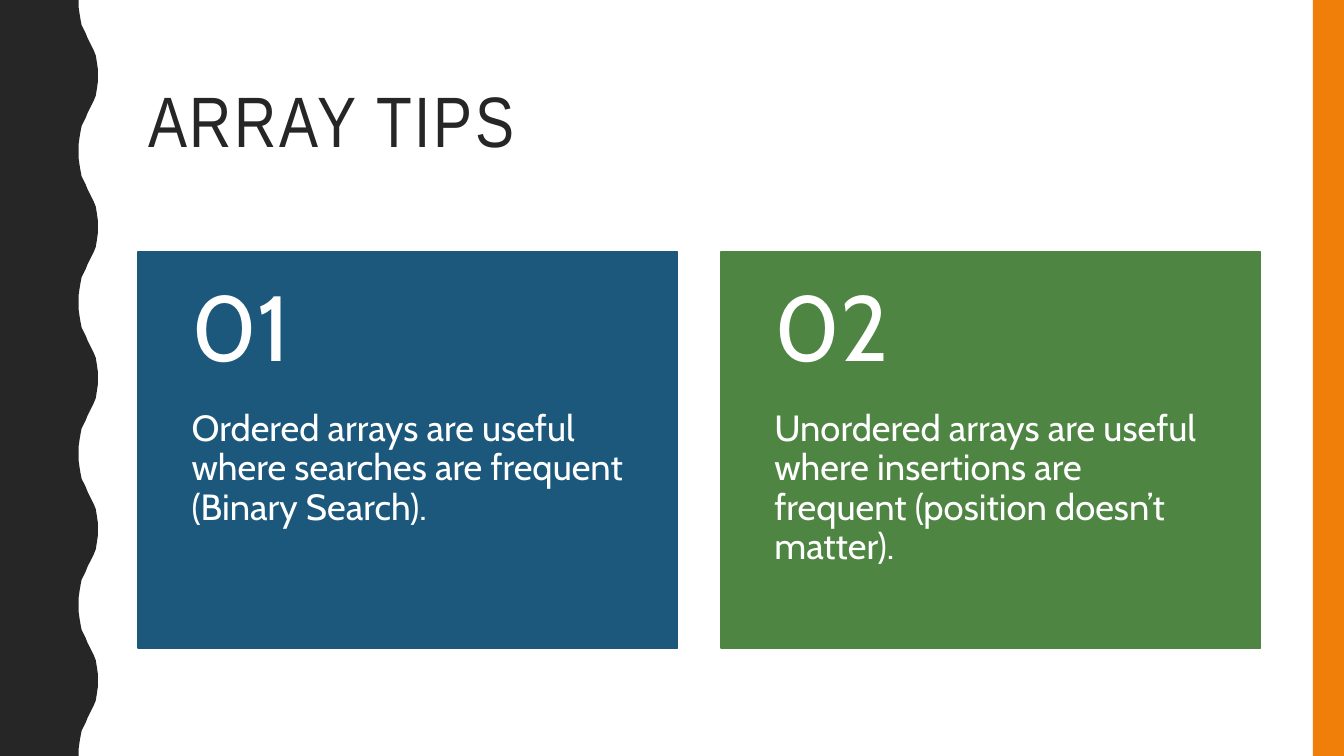
"""Build the Array Tips slide with two numbered cards."""
from dataclasses import dataclass

from pptx import Presentation
from pptx.dml.color import RGBColor
from pptx.enum.shapes import MSO_SHAPE
from pptx.enum.text import MSO_ANCHOR, MSO_AUTO_SIZE, PP_ALIGN
from pptx.shapes.base import BaseShape
from pptx.slide import Slide
from pptx.text.text import TextFrame
from pptx.util import Inches, Pt

RECTANGLE = MSO_SHAPE.RECTANGLE
TOP, MIDDLE = MSO_ANCHOR.TOP, MSO_ANCHOR.MIDDLE
LEFT = PP_ALIGN.LEFT
NO_AUTOFIT = MSO_AUTO_SIZE.NONE


@dataclass(frozen=True)
class Theme:
    dark: str = "262626"
    orange: str = "F07F09"
    blue: str = "1B587C"
    green: str = "4E8542"
    white: str = "FFFFFF"
    title_font: str = "Arial Narrow"
    body_font: str = "Cabin"
    title_size: int = 51
    number_size: int = 66
    body_size: int = 26


@dataclass(frozen=True)
class Card:
    number: str
    text: str
    color: str


THEME = Theme()
CARDS = [
    Card("01", "Ordered arrays are useful where searches are frequent (Binary Search).",
         THEME.blue),
    Card("02", "Unordered arrays are useful where insertions are frequent "
         "(position doesn’t matter).", THEME.green),
]
SLIDE_WIDTH, SLIDE_HEIGHT = 13.33, 7.5
CONTENT_LEFT, CONTENT_WIDTH = 1.37, 11.13
CARD_TOP, CARD_WIDTH, CARD_HEIGHT = 2.5, 5.35, 3.93
CARD_STEP = CONTENT_WIDTH - CARD_WIDTH
NUMBER_HEIGHT = 1.57
STRIPE_WIDTH = 0.31
WAVE_PERIOD, WAVE_COUNT = 1.5, 5
HALF_WAVE = [
    (0.78, 0), (0.78, 0.07), (0.79, 0.14), (0.8, 0.2), (0.81, 0.25), (0.83, 0.29),
    (0.85, 0.33), (0.87, 0.38), (0.89, 0.42), (0.91, 0.46), (0.93, 0.5),
    (0.95, 0.55), (0.96, 0.61), (0.97, 0.68), (0.97, 0.75),
]


def paint(shape: BaseShape, color: str) -> None:
    shape.shadow.inherit = False
    shape.fill.solid()
    shape.fill.fore_color.rgb = RGBColor.from_string(color)
    shape.line.fill.background()


def add_wave(slide: Slide) -> None:
    full_wave = HALF_WAVE + [(x, WAVE_PERIOD - y) for x, y in HALF_WAVE[-2::-1]]
    edge = [(Inches(x), Inches(y + wave * WAVE_PERIOD))
            for wave in range(WAVE_COUNT) for x, y in full_wave]
    builder = slide.shapes.build_freeform(0, 0)
    builder.add_line_segments(edge + [(0, Inches(SLIDE_HEIGHT))], close=True)
    paint(builder.convert_to_shape(), THEME.dark)


def add_rectangle(slide: Slide, left: float, top: float, width: float,
                  height: float, color: str) -> BaseShape:
    shape = slide.shapes.add_shape(
        RECTANGLE, Inches(left), Inches(top), Inches(width), Inches(height))
    paint(shape, color)
    return shape


def write(text_frame: TextFrame, text: str, font_name: str, size: int,
          color: str, anchor: MSO_ANCHOR) -> None:
    text_frame.text = text
    text_frame.word_wrap = True
    text_frame.auto_size = NO_AUTOFIT
    text_frame.vertical_anchor = anchor
    paragraph = text_frame.paragraphs[0]
    paragraph.alignment = LEFT
    paragraph.line_spacing = 0.9
    font = paragraph.runs[0].font
    font.name = font_name
    font.size = Pt(size)
    font.color.rgb = RGBColor.from_string(color)


def add_title(slide: Slide) -> None:
    title = slide.shapes.title
    title.left, title.top = Inches(CONTENT_LEFT), Inches(0.42)
    title.width, title.height = Inches(CONTENT_WIDTH), Inches(1.63)
    write(title.text_frame, "ARRAY TIPS", THEME.title_font, THEME.title_size,
          THEME.dark, MIDDLE)
    run = title.text_frame.paragraphs[0].runs[0]
    run.font._element.set("spc", "200")


def add_card_text(slide: Slide, left: float, top: float, height: float, text: str,
                  size: int, anchor: MSO_ANCHOR, margins: tuple[float, float]) -> None:
    box = slide.shapes.add_textbox(
        Inches(left), Inches(top), Inches(CARD_WIDTH), Inches(height))
    text_frame = box.text_frame
    text_frame.margin_left = text_frame.margin_right = Inches(0.53)
    text_frame.margin_top, text_frame.margin_bottom = map(Inches, margins)
    write(text_frame, text, THEME.body_font, size, THEME.white, anchor)


def add_card(slide: Slide, card: Card, left: float) -> None:
    panel = add_rectangle(slide, left, CARD_TOP, CARD_WIDTH, CARD_HEIGHT, card.color)
    panel.line.color.rgb = RGBColor.from_string(card.color)
    panel.line.width = Pt(1)
    add_card_text(slide, left, CARD_TOP + NUMBER_HEIGHT, CARD_HEIGHT - NUMBER_HEIGHT,
                  card.text, THEME.body_size, TOP, (0, 0.36))
    add_card_text(slide, left, CARD_TOP, NUMBER_HEIGHT, card.number,
                  THEME.number_size, MIDDLE, (0.18, 0.18))


def main() -> None:
    presentation = Presentation()
    presentation.slide_width = Inches(SLIDE_WIDTH)
    presentation.slide_height = Inches(SLIDE_HEIGHT)
    slide = presentation.slides.add_slide(
        presentation.slide_layouts.get_by_name("Title Only"))
    add_wave(slide)
    add_rectangle(slide, SLIDE_WIDTH - STRIPE_WIDTH, 0, STRIPE_WIDTH, SLIDE_HEIGHT,
                  THEME.orange)
    add_title(slide)
    for index, card in enumerate(CARDS):
        add_card(slide, card, CONTENT_LEFT + index * CARD_STEP)
    presentation.save("out.pptx")


if __name__ == "__main__":
    main()
